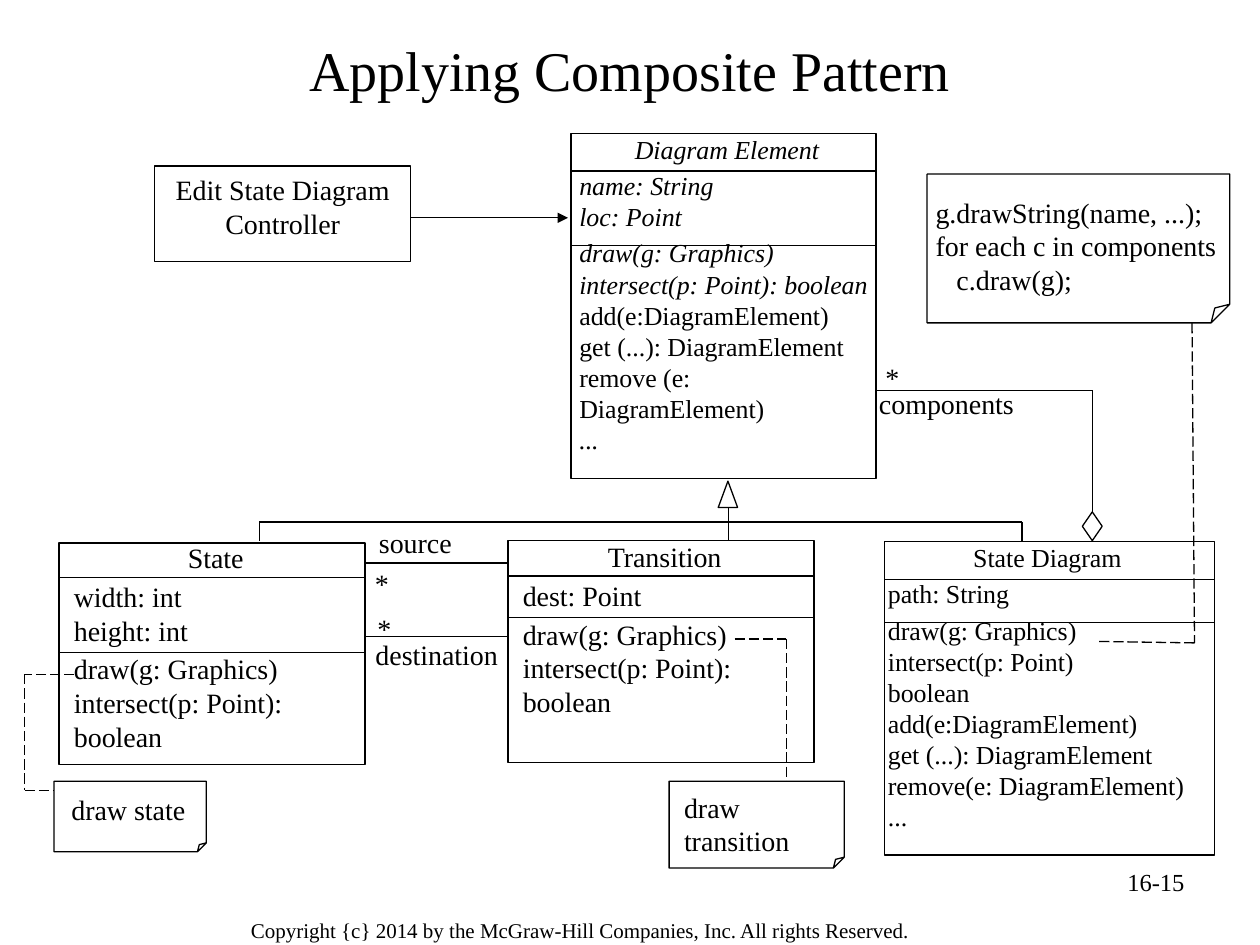
from itertools import pairwise

from lxml import etree
from pptx import Presentation
from pptx.dml.color import RGBColor
from pptx.enum.dml import MSO_LINE
from pptx.enum.shapes import MSO_CONNECTOR, MSO_SHAPE
from pptx.enum.text import MSO_ANCHOR, PP_ALIGN
from pptx.oxml.ns import qn
from pptx.util import Cm, Pt

FONT = "Times New Roman"
INK, PAPER = "000000", "FFFFFF"
LEFT, CENTER, RIGHT = PP_ALIGN.LEFT, PP_ALIGN.CENTER, PP_ALIGN.RIGHT
TOP, MIDDLE = MSO_ANCHOR.TOP, MSO_ANCHOR.MIDDLE
RECT, NOTE = MSO_SHAPE.RECTANGLE, MSO_SHAPE.FOLDED_CORNER
ARROW, DIAMOND = MSO_SHAPE.ISOSCELES_TRIANGLE, MSO_SHAPE.DIAMOND
DASH, STRAIGHT = MSO_LINE.LONG_DASH, MSO_CONNECTOR.STRAIGHT


def color(code):
    return RGBColor.from_string(code)


def write(frame, lines, size, align=LEFT, anchor=TOP):
    frame.word_wrap = True
    frame.vertical_anchor = anchor
    frame.margin_left = frame.margin_right = Cm(0.25)
    frame.margin_top = frame.margin_bottom = Cm(0.13)
    frame.text = "\n".join(lines)
    for para in frame.paragraphs:
        para.alignment = align
        para.font.name = FONT
        para.font.size = Pt(size)
        para.font.color.rgb = color(INK)
    return frame.paragraphs


def add_text(slide, box, lines, size=16, align=LEFT, anchor=TOP):
    area = slide.shapes.add_textbox(*map(Cm, box))
    return write(area.text_frame, lines, size, align, anchor)


def add_box(slide, kind, box, fill=None):
    shape = slide.shapes.add_shape(kind, *map(Cm, box))
    shape.shadow.inherit = False
    shape.line.color.rgb = color(INK)
    shape.line.width = Pt(0.75)
    if fill:
        shape.fill.solid()
        shape.fill.fore_color.rgb = color(fill)
    else:
        shape.fill.background()
    return shape


def add_lines(slide, points, dash=None, head=False):
    """Join the points with straight lines."""
    for start, end in pairwise(points):
        link = slide.shapes.add_connector(STRAIGHT, *map(Cm, start + end))
        link.line.color.rgb = color(INK)
        link.line.width = Pt(0.75)
        if dash:
            link.line.dash_style = dash
        props = link._element.spPr
        if head:
            tip = etree.SubElement(props.find(qn("a:ln")), qn("a:tailEnd"))
            tip.set("type", "triangle")
        etree.SubElement(props, qn("a:effectLst"))


def add_class(slide, box, shift, rules, parts, size=16, slant=()):
    """Class box: name, fields and methods, parted by two rules."""
    x, y, w, h = box
    dx, dy, grow = shift
    name, fields, methods = parts
    add_box(slide, RECT, box)
    for rule in rules:
        add_lines(slide, [(x, y + rule), (x + w, y + rule)])
    paras = add_text(slide, (x + dx, y + dy, w + grow, h),
                     [name, *fields, *methods], size)
    paras[0].alignment = CENTER
    paras[0].space_after = Pt(3)
    paras[1 + len(fields)].space_before = Pt(3)
    for spot in slant:
        paras[spot].font.italic = True


def add_note(slide, box, shift, lines, lead):
    """Folded note with a dashed lead to the method it explains."""
    x, y, w, h = box
    dx, dy, grow = shift
    shape = add_box(slide, NOTE, box)
    values = shape._element.spPr.find(qn("a:prstGeom")).get_or_add_avLst()
    for old in list(values):
        values.remove(old)
    fold = etree.SubElement(values, qn("a:gd"))
    fold.set("name", "adj")
    fold.set("fmla", "val 12500")
    add_text(slide, (x + dx, y + dy, w + grow, h - dy), lines)
    add_lines(slide, [(x + px, y + py) for px, py in lead], DASH)


def add_control(slide, box):
    """Controller with an arrow to the base class."""
    x, y, w, h = box
    shape = add_box(slide, RECT, box, PAPER)
    write(shape.text_frame, ["Edit State Diagram Controller"], 16, CENTER)
    add_lines(slide, [(x + w, y + 1.04), (x + w + 3.17, y + 1.04)], head=True)


def add_tree(slide, box):
    """Inheritance: a bar with three drops below a hollow arrow."""
    x, y, w, h = box
    stem, bar, foot = x + 9.45, y + 0.82, y + h
    add_lines(slide, [(x, foot), (x, bar), (x + w, bar), (x + w, foot)])
    add_lines(slide, [(stem, y + 0.53), (stem, foot)])
    add_box(slide, ARROW, (stem - 0.2, y, 0.39, 0.53), PAPER)


def add_whole(slide, box):
    """Aggregation that ends in a diamond."""
    x, y, w, h = box
    edge = x + w
    add_lines(slide, [(x, y), (edge, y), (edge, y + h - 0.58)])
    add_box(slide, DIAMOND, (edge - 0.2, y + h - 0.58, 0.4, 0.58), PAPER)
    add_text(slide, (x - 0.05, y - 0.74, 1.07, 1.19), ["*"])
    add_text(slide, (x - 0.18, y - 0.2, 3.6, 1.2), ["components"])


def add_ends(slide, box):
    """Two links between State and Transition."""
    x, y, w, h = box
    for rise in (0, h):
        add_lines(slide, [(x, y + rise), (x + w, y + rise)])
    labels = [("source", 0.03, -0.89), ("*", -0.05, -0.05),
              ("*", 0, 0.84), ("destination", -0.04, 1.37)]
    for word, dx, dy in labels:
        add_text(slide, (x + dx, y + dy, 3.2, 1.15), [word])


def main():
    deck = Presentation()
    deck.slide_width, deck.slide_height = Cm(25.4), Cm(19.05)
    slide = deck.slides.add_slide(deck.slide_layouts[6])

    # Title and footer
    add_text(slide, (1.27, 0.43, 22.86, 1.91),
             ["Applying Composite Pattern"], 32, CENTER, MIDDLE)
    add_text(slide, (4.81, 18.36, 15.7, 0.8),
             ["Copyright {c} 2014 by the McGraw-Hill Companies, Inc. "
              "All rights Reserved."], 12)
    add_text(slide, (18.21, 17.35, 5.92, 1.32), ["16-15"], 14, RIGHT)

    # Classes
    draw = "draw(g: Graphics)"
    hit = "intersect(p: Point): boolean"
    add, get = "add(e:DiagramElement)", "get (...): DiagramElement"
    add_class(slide, (11.51, 2.69, 6.15, 6.96), (-0.08, -0.13, 0.3),
              (0.76, 2.26),
              ("Diagram Element", ["name: String", "loc: Point"],
               [draw, hit, add, get, "remove (e: DiagramElement)", "..."]),
              14.8, (0, 1, 2, 3, 4, 8))
    add_class(slide, (1.19, 10.95, 6.17, 4.47), (0.05, -0.18, 0.05),
              (0.69, 2.21),
              ("State", ["width: int", "height: int"], [draw, hit]))
    add_class(slide, (10.24, 10.9, 6.17, 4.47), (0.05, -0.15, 0.05),
              (0.71, 1.55), ("Transition", ["dest: Point"], [draw, hit]))
    add_class(slide, (17.83, 10.92, 6.65, 6.32), (-0.18, -0.13, 0.28),
              (0.76, 1.63),
              ("State Diagram", ["path: String"],
               [draw, "intersect(p: Point)", "boolean", add, get,
                "remove(e: DiagramElement)", "..."]), 14.8)

    # Links
    add_control(slide, (3.12, 3.35, 5.16, 1.93))
    add_tree(slide, (5.23, 9.7, 15.37, 1.2))
    add_whole(slide, (17.65, 7.87, 4.37, 3.03))
    add_ends(slide, (7.36, 11.35, 2.87, 1.48))

    # Notes
    add_note(slide, (18.69, 3.51, 6.1, 3), (-0.08, 0.3, 0.5),
             ["g.drawString(name, ...);", "for each c in components",
              "   c.draw(g);"],
             [(5.34, 3), (5.39, 9.45), (3.41, 9.42)])
    add_note(slide, (1.09, 15.75, 3.07, 1.42), (0.1, 0.1, 0),
             ["draw state"],
             [(0.41, -2.16), (-0.59, -2.16), (-0.59, 0.18), (0, 0.18)])
    add_note(slide, (13.49, 15.75, 3.53, 1.75), (0.05, 0.05, 0.08),
             ["draw transition"],
             [(1.32, -2.87), (2.36, -2.87), (2.36, 0)])

    deck.save("out.pptx")


if __name__ == "__main__":
    main()
